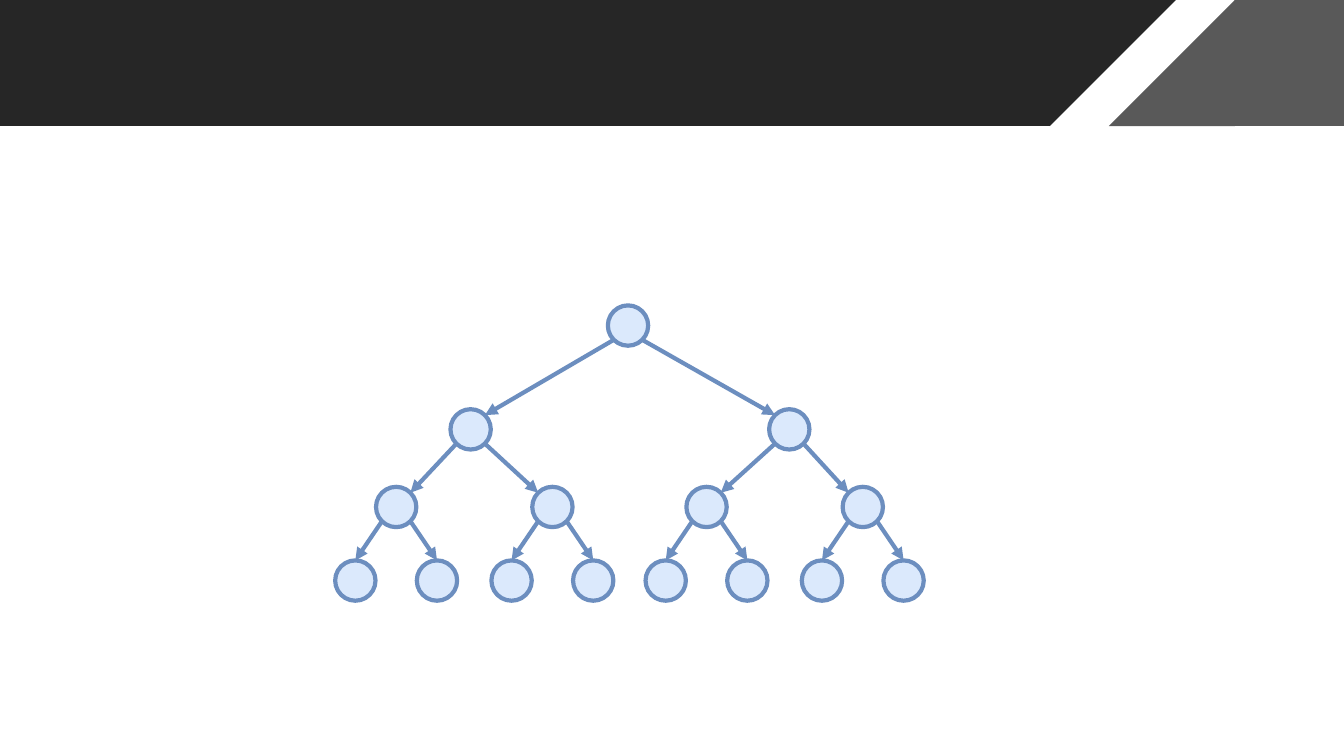
from math import sqrt

from lxml.etree import SubElement
from pptx import Presentation
from pptx.dml.color import RGBColor
from pptx.enum.shapes import MSO_CONNECTOR, MSO_SHAPE
from pptx.oxml.ns import qn
from pptx.util import Pt

DARK_BAND = "262626"
GREY_BAND = "595959"
NODE_FILL = "DBE9FC"
EDGE_COLOR = "6C8EBF"
EDGE_WIDTH = 3
DIAMETER = 28.8
RADIUS = DIAMETER / 2
DIAGONAL = RADIUS / sqrt(2)
BAND_HEIGHT = 90
LEAF_OFFSET = 29.16
LEVEL_Y = [232.56, 306.72, 362.16, 414.72]
INNER_X = [[448.6], [336.2, 563.8], [283, 394.6, 504.7, 616.3]]


def color(hex_value):
    return RGBColor.from_string(hex_value)


def add_filled(slide, kind, left, top, width, height, fill):
    shape = slide.shapes.add_shape(kind, Pt(left), Pt(top), Pt(width), Pt(height))
    shape.shadow.inherit = False
    shape.fill.solid()
    shape.fill.fore_color.rgb = color(fill)
    shape.line.fill.background()
    return shape


def add_band(slide, left, width, fill):
    add_filled(slide, MSO_SHAPE.RECTANGLE, left, 0, width, BAND_HEIGHT, fill)


def add_slant(slide, left, fill, rotation=0):
    slant = add_filled(slide, MSO_SHAPE.ISOSCELES_TRIANGLE, left, 0,
                       BAND_HEIGHT, BAND_HEIGHT, fill)
    slant.adjustments[0] = 1
    slant.rotation = rotation


def add_node(slide, x, y):
    node = add_filled(slide, MSO_SHAPE.OVAL, x - RADIUS, y - RADIUS,
                      DIAMETER, DIAMETER, NODE_FILL)
    node.line.color.rgb = color(EDGE_COLOR)
    node.line.width = Pt(EDGE_WIDTH)


def add_edge(slide, parent, child, is_leaf):
    side = 1 if child[0] > parent[0] else -1
    start_x, start_y = parent[0] + side * DIAGONAL, parent[1] + DIAGONAL
    if is_leaf:
        end_x, end_y = child[0], child[1] - RADIUS
    else:
        end_x, end_y = child[0] - side * DIAGONAL, child[1] - DIAGONAL
    edge = slide.shapes.add_connector(MSO_CONNECTOR.STRAIGHT, Pt(start_x), Pt(start_y),
                                      Pt(end_x), Pt(end_y))
    edge.line.color.rgb = color(EDGE_COLOR)
    edge.line.width = Pt(EDGE_WIDTH)
    SubElement(edge.line._get_or_add_ln(), qn("a:tailEnd"), type="triangle")
    SubElement(edge._element.spPr, qn("a:effectLst"))


def add_header(slide):
    add_band(slide, 0, 750, DARK_BAND)
    add_band(slide, 882, 78, GREY_BAND)
    add_slant(slide, 750, DARK_BAND, rotation=180)
    add_slant(slide, 792, GREY_BAND)


def add_tree(slide):
    leaf_x = [x + side * LEAF_OFFSET for x in INNER_X[-1] for side in (-1, 1)]
    levels = [[(x, y) for x in row] for row, y in zip(INNER_X + [leaf_x], LEVEL_Y)]
    for level in levels:
        for x, y in level:
            add_node(slide, x, y)
    for parents, children in zip(levels, levels[1:]):
        for index, child in enumerate(children):
            add_edge(slide, parents[index // 2], child, children is levels[-1])


def main():
    presentation = Presentation()
    presentation.slide_width = Pt(960)
    presentation.slide_height = Pt(540)
    slide = presentation.slides.add_slide(presentation.slide_layouts[6])
    add_header(slide)
    add_tree(slide)
    presentation.save("out.pptx")


if __name__ == "__main__":
    main()
